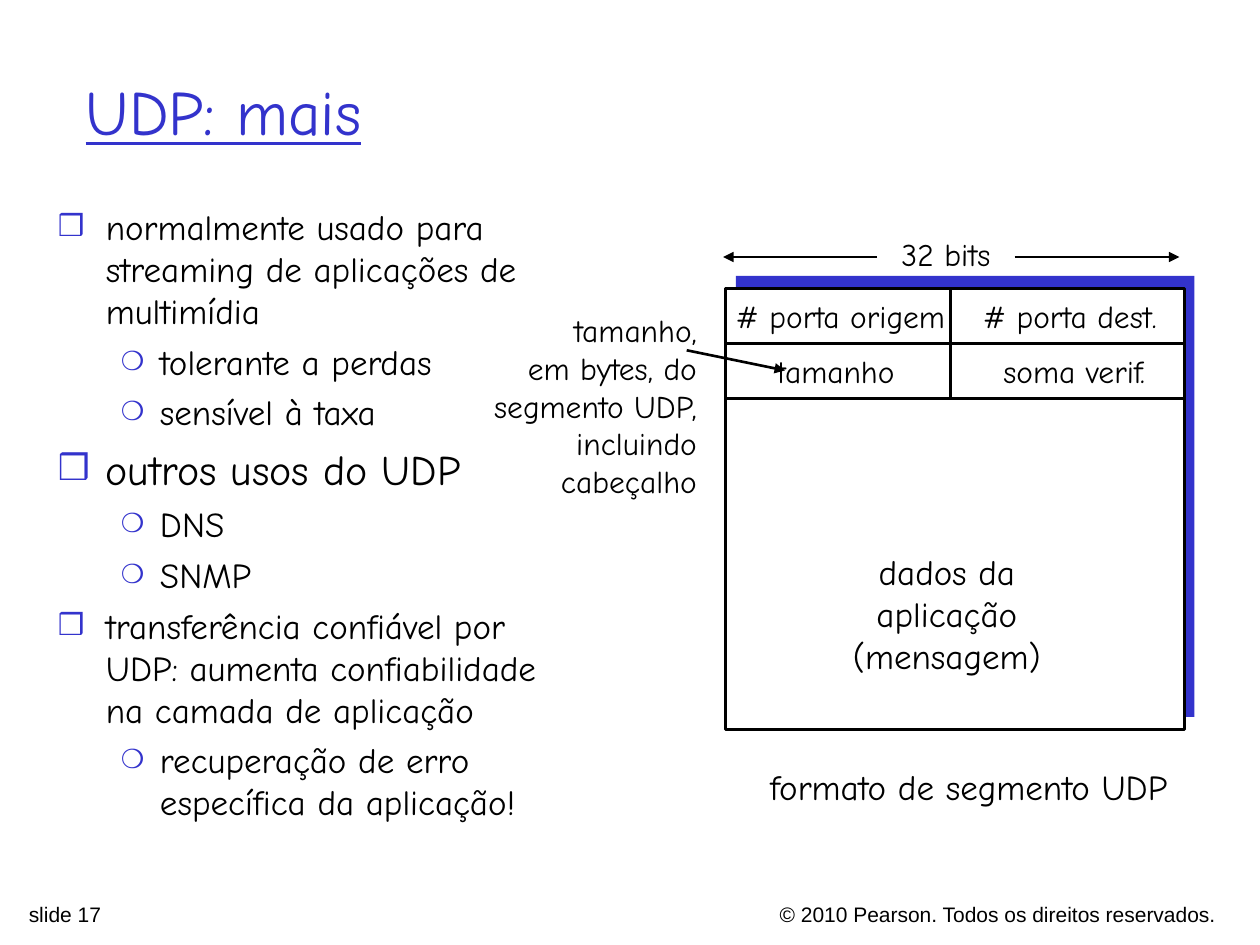
from lxml.etree import SubElement
from pptx import Presentation
from pptx.dml.color import RGBColor
from pptx.enum.shapes import MSO_CONNECTOR, MSO_SHAPE
from pptx.enum.text import MSO_ANCHOR, MSO_AUTO_SIZE, PP_ALIGN
from pptx.oxml.ns import qn
from pptx.util import Inches, Pt

BLUE = RGBColor(0x33, 0x33, 0xCC)
BLACK = RGBColor(0, 0, 0)
WHITE = RGBColor(0xFF, 0xFF, 0xFF)
HAND = "Comic Neue"

# level: bullet mark, size in percent, left margin, hanging indent
BULLETS = [("❒", 85, 0.38, -0.38), ("❍", 75, 0.81, -0.31)]
TOPICS = [
    (0, 20, "normalmente usado para streaming de aplicações de multimídia"),
    (1, 20, "tolerante a perdas"),
    (1, 20, "sensível à taxa"),
    (0, 24, "outros usos do UDP"),
    (1, 20, "DNS"),
    (1, 20, "SNMP"),
    (0, 20, "transferência confiável por UDP: aumenta confiabilidade na camada de aplicação"),
    (1, 20, "recuperação de erro específica da aplicação!"),
]
# header row, centre as a share of the segment's width, box width, text
FIELDS = [
    (0, 0.25, 1.9, "# porta origem"),
    (0, 0.75, 1.65, "# porta dest."),
    (1, 0.24, 1.2, "tamanho"),
    (1, 0.76, 1.4, "soma verif."),
]


def set_font(paragraph, size, color=BLACK, name=HAND, **extra):
    values = {"name": name, "size": Pt(size), **extra}
    for key, value in values.items():
        setattr(paragraph.font, key, value)
    paragraph.font.color.rgb = color


def place(shape, box):
    for key, value in zip(("left", "top", "width", "height"), box):
        setattr(shape, key, Inches(value))


def add_label(slide, box, paragraphs, size=18, align=PP_ALIGN.CENTER,
              wrap=False, name=HAND):
    frame = slide.shapes.add_textbox(*map(Inches, box)).text_frame
    frame.word_wrap = wrap
    frame.auto_size = MSO_AUTO_SIZE.NONE if wrap else MSO_AUTO_SIZE.SHAPE_TO_FIT_TEXT
    for index, text in enumerate(paragraphs):
        paragraph = frame.add_paragraph() if index else frame.paragraphs[0]
        paragraph.text = text
        paragraph.alignment = align
        set_font(paragraph, size, name=name)


def add_rule(slide, start, end, arrow=False):
    rule = slide.shapes.add_connector(MSO_CONNECTOR.STRAIGHT, *map(Inches, start + end))
    rule.line.color.rgb = BLACK
    rule.line.width = Pt(1.5)
    if arrow:
        SubElement(rule.line._get_or_add_ln(), qn("a:tailEnd"), type="triangle")
    SubElement(rule._element.spPr, qn("a:effectLst"))


def add_panel(slide, box, fill, outlined):
    panel = slide.shapes.add_shape(MSO_SHAPE.RECTANGLE, *map(Inches, box))
    panel.shadow.inherit = False
    panel.fill.solid()
    panel.fill.fore_color.rgb = fill
    if outlined:
        panel.line.color.rgb = BLACK
        panel.line.width = Pt(1.5)
    else:
        panel.line.fill.background()


def add_bullet(paragraph, level):
    mark, percent, margin, indent = BULLETS[level]
    properties = paragraph._p.get_or_add_pPr()
    properties.set("marL", str(Inches(margin)))
    properties.set("indent", str(Inches(indent)))
    color = SubElement(properties, qn("a:buClr"))
    SubElement(color, qn("a:srgbClr"), val=str(BLUE))
    SubElement(properties, qn("a:buSzPct"), val=str(percent * 1000))
    SubElement(properties, qn("a:buFont"), typeface="Arial")
    SubElement(properties, qn("a:buChar"), char=mark)


def fill_title(title, box):
    place(title, box)
    frame = title.text_frame
    frame.text = "UDP: mais"
    frame.vertical_anchor = MSO_ANCHOR.MIDDLE
    frame.auto_size = MSO_AUTO_SIZE.NONE
    frame.paragraphs[0].alignment = PP_ALIGN.LEFT
    set_font(frame.paragraphs[0], 36, BLUE, underline=True)


def fill_topics(body, box):
    place(body, box)
    frame = body.text_frame
    frame.auto_size = MSO_AUTO_SIZE.NONE
    for index, (level, size, text) in enumerate(TOPICS):
        paragraph = frame.add_paragraph() if index else frame.paragraphs[0]
        paragraph.text = text
        paragraph.level = level
        paragraph.space_before = Pt(size / 4 if index else 0)
        add_bullet(paragraph, level)
        set_font(paragraph, size)


def draw_segment(slide, box):
    left, top, width, height = box
    right, row, middle = left + width, height / 8, left + 0.49 * width

    # Frame with its offset backing
    add_panel(slide, (left + 0.08, top - 0.1, width, height), BLUE, False)
    add_panel(slide, box, WHITE, True)

    # Header grid and its fields
    for line in (1, 2):
        add_rule(slide, (left, top + line * row), (right, top + line * row))
    add_rule(slide, (middle, top), (middle, top + 2 * row))
    for line, share, field_width, text in FIELDS:
        field_left = left + share * width - field_width / 2
        add_label(slide, (field_left, top + line * row + 0.02, field_width, 0.4), [text])

    # Width scale above the frame, its label centred between the arrows
    scale, scale_width = top - 0.25, 1.1
    scale_left = left + 0.48 * width - scale_width / 2
    add_label(slide, (scale_left, scale - 0.22, scale_width, 0.4), ["32 bits"])
    add_rule(slide, (left + 0.63 * width, scale), (right - 0.04, scale), arrow=True)
    add_rule(slide, (left + 0.33 * width, scale), (left - 0.02, scale), arrow=True)

    # Payload and caption
    add_label(slide, (left + 0.25 * width, top + 0.58 * height, 1.69, 1.1),
              ["dados da", "aplicação\n(mensagem)"], 20)
    add_label(slide, (left + 0.24, top + height + 0.24, 3.38, 0.44),
              ["formato de segmento UDP"], 20)

    # Note on the length field
    add_label(slide, (left - 1.96, top + 0.13, 1.83, 1.6),
              ["tamanho,\nem bytes, do\nsegmento UDP,", "incluindo", "cabeçalho"],
              align=PP_ALIGN.RIGHT)
    add_rule(slide, (left - 0.31, top + 0.49), (left + 0.47, top + 0.65), arrow=True)


def add_footer(slide, top):
    add_label(slide, (4.64, top, 5.11, 0.24),
              ["© 2010 Pearson. Todos os direitos reservados."],
              12, PP_ALIGN.RIGHT, True, "Arial")
    add_label(slide, (0.13, top, 3.52, 0.24), ["slide 17"],
              12, PP_ALIGN.LEFT, True, "Arial")


def main():
    deck = Presentation()
    deck.slide_width, deck.slide_height = Inches(10), Inches(7.5)
    slide = deck.slides.add_slide(deck.slide_layouts[1])
    add_footer(slide, 7.11)
    fill_title(slide.shapes.title, (0.58, 0.25, 9.12, 1.25))
    fill_topics(slide.placeholders[1], (0.36, 1.58, 4.28, 5.08))
    draw_segment(slide, (5.76, 2.29, 3.64, 3.5))
    deck.save("out.pptx")


if __name__ == "__main__":
    main()
